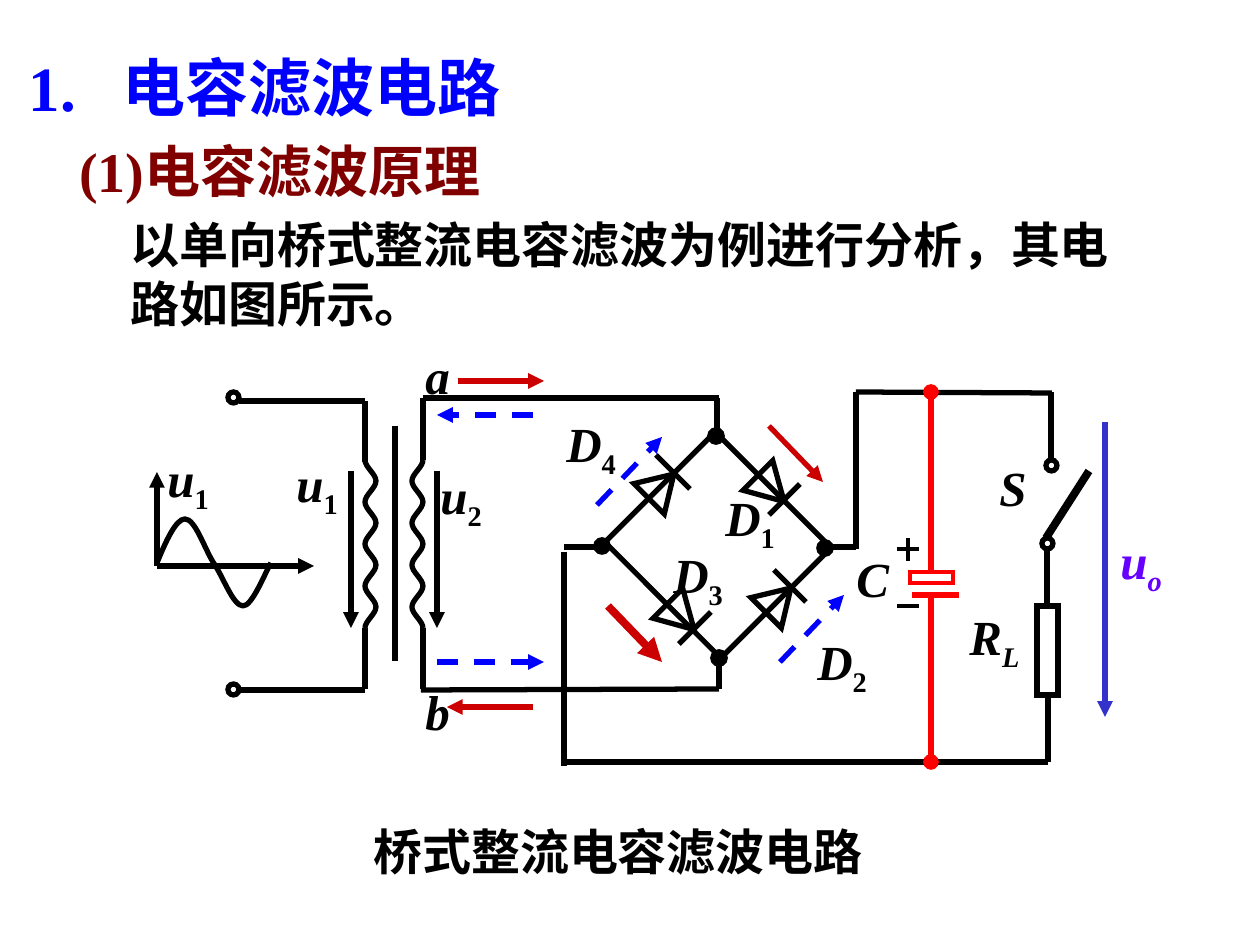
from dataclasses import dataclass

from lxml import etree
from pptx import Presentation
from pptx.dml.color import RGBColor
from pptx.enum.dml import MSO_LINE
from pptx.enum.shapes import MSO_CONNECTOR, MSO_SHAPE
from pptx.enum.text import MSO_ANCHOR, MSO_AUTO_SIZE, PP_ALIGN
from pptx.oxml.ns import qn
from pptx.util import Emu, Pt

STRAIGHT = MSO_CONNECTOR.STRAIGHT
OVAL, RECT, TRIANGLE = MSO_SHAPE.OVAL, MSO_SHAPE.RECTANGLE, MSO_SHAPE.ISOSCELES_TRIANGLE
TOP, MIDDLE = MSO_ANCHOR.TOP, MSO_ANCHOR.MIDDLE
LEFT, CENTER = PP_ALIGN.LEFT, PP_ALIGN.CENTER
DASH, NO_AUTOFIT = MSO_LINE.DASH, MSO_AUTO_SIZE.NONE
PX_PER_INCH = 126


@dataclass(frozen=True)
class Theme:
    font: str = "Times New Roman"
    black: str = "000000"
    blue: str = "0000FF"
    maroon: str = "800000"
    violet: str = "6600FF"
    indigo: str = "3333CC"
    forward: str = "CC0000"
    red: str = "FF0000"
    title: int = 36
    subtitle: int = 32
    body: int = 28
    wire: float = 3
    thin: float = 2.25
    thick: float = 4.5
    dot: float = 1


theme = Theme()


def px(*values):
    return [Emu(round(value * 914400 / PX_PER_INCH)) for value in values]


def outline(shape, colour, width, fill=None):
    """Give a closed or open shape its line, and a fill only when named."""
    shape.shadow.inherit = False
    shape.line.color.rgb = RGBColor.from_string(colour)
    shape.line.width = Pt(width)
    if fill:
        shape.fill.solid()
        shape.fill.fore_color.rgb = RGBColor.from_string(fill)
    else:
        shape.fill.background()


deck = Presentation()
deck.slide_width, deck.slide_height = px(1260, 945)
page = deck.slides.add_slide(deck.slide_layouts[5])
shapes = page.shapes

# Headings, body text and circuit labels: base, subscript, frame, look
texts = [
    ("1.\t电容滤波电路", "", (16, 42, 743, 83), theme.title, theme.blue, True, TOP, LEFT),
    ("以单向桥式整流电容滤波为例进行分析，其电路如图所示。", "", (118, 208, 1034, 131),
     theme.body, theme.black, True, MIDDLE, LEFT),
    ("(1)电容滤波原理", "", (60, 130, 440, 81), theme.subtitle, theme.maroon,
     False, MIDDLE, CENTER),
    ("桥式整流电容滤波电路", "", (361, 815, 514, 72), theme.body, theme.black, False, TOP, LEFT),
]
labels = [
    ("a", "", 413, 339, 49), ("b", "", 413, 675, 49),
    ("S", "", 987, 451, 52), ("C", "", 844, 542, 58),
    ("u", "1", 155, 442, 79), ("u", "1", 284, 447, 79), ("u", "2", 428, 459, 79),
    ("D", "1", 713, 481, 79), ("D", "2", 805, 625, 79),
    ("D", "3", 661, 538, 79), ("D", "4", 554, 407, 79),
    ("R", "L", 957, 600, 145), ("u", "o", 1108, 524, 126),
]
for base, sub, left, top, width in labels:
    colour = theme.violet if sub == "o" else theme.black
    texts.append((base, sub, (left, top, width, 79 if sub else 72),
                  theme.body, colour, bool(sub), TOP, LEFT))

for base, sub, frame, size, colour, wrap, anchor, align in texts:
    if size == theme.title:
        box = shapes.title
        box.left, box.top, box.width, box.height = px(*frame)
    else:
        box = shapes.add_textbox(*px(*frame))
    text_frame = box.text_frame
    text_frame.auto_size = NO_AUTOFIT
    text_frame.word_wrap = wrap
    text_frame.vertical_anchor = anchor
    para = text_frame.paragraphs[0]
    para.alignment = align
    if "\t" in base:
        tabs = etree.SubElement(para._p.get_or_add_pPr(), qn("a:tabLst"))
        etree.SubElement(tabs, qn("a:tab"), pos=str(px(94)[0]), algn="l")
    para.font.name = theme.font
    para.font.size = Pt(size)
    para.font.bold = True
    para.font.color.rgb = RGBColor.from_string(colour)
    span = para.add_run()
    span.text = base
    if len(base) == 1:
        span.font.italic = True
    if sub:
        span = para.add_run()
        span.text = sub
        span.font.italic = sub.isalpha()
        span._r.get_or_add_rPr().set("baseline", "-25000")

# Bridge, resistor and capacitor plate: preset, frame, rotation, line
parts = [
    (RECT, (636, 467, 164, 156), 45, theme.black, theme.wire),
    (TRIANGLE, (640, 469, 43, 35), 45, theme.black, theme.wire),
    (TRIANGLE, (757, 583, 43, 35), 45, theme.black, theme.wire),
    (TRIANGLE, (750, 470, 42, 37), 135, theme.black, theme.wire),
    (TRIANGLE, (660, 598, 42, 37), 135, theme.black, theme.wire),
    (RECT, (1037, 606, 21, 89), 0, theme.black, theme.wire),
    (RECT, (910, 572, 43, 11), 0, theme.red, theme.thin),
]
terminals = [(228, 392), (228, 684), (1042, 538), (1046, 460)]
parts += [(OVAL, (x, y, 11, 11), 0, theme.black, theme.wire) for x, y in terminals]
for preset, frame, rotation, colour, width in parts:
    part = shapes.add_shape(preset, *px(*frame))
    part.rotation = rotation
    outline(part, colour, width)
    etree.SubElement(part.line._get_or_add_ln(), qn("a:miter"), lim="800000")

# Input sine wave and transformer windings: a start, then three points per curve
curves = [[(157, 563), (166, 541), (176, 519), (185, 519),
           (195, 519), (204, 547), (213, 562), (223, 576), (233, 606), (243, 606),
           (252, 607), (266, 571), (271, 563)]]
for inner, outer in ((365, 376), (423, 412)):
    winding = [(inner, 460)]
    for half in range(8):
        near, far = (inner, outer) if half % 2 == 0 else (outer, inner)
        top = 460 + 21 * half
        winding += [(near, top + 7), (far, top + 14), (far, top + 21)]
    curves.append(winding)
for points in curves:
    builder = shapes.build_freeform(*px(*points[0]))
    builder.add_line_segments([px(*point) for point in points[1:]], close=False)
    curve = builder.convert_to_shape()
    outline(curve, theme.black, theme.wire)
    segments = list(curve._element.iter(qn("a:lnTo")))
    for first in range(0, len(segments), 3):
        trio = segments[first:first + 3]
        bezier = etree.Element(qn("a:cubicBezTo"))
        trio[0].addprevious(bezier)
        for segment in trio:
            bezier.append(segment[0])
            segment.getparent().remove(segment)

# Straight lines: ends, colour, width, tail, dash
wires = [
    (239, 401, 365, 401), (239, 690, 365, 690), (395, 426, 395, 661),
    (423, 398, 719, 398), (421, 690, 719, 689), (856, 392, 1052, 393),
    (365, 401, 365, 462), (365, 628, 365, 689), (423, 398, 423, 460),
    (423, 628, 423, 689), (717, 398, 717, 431), (719, 689, 719, 661),
    (656, 455, 690, 489), (774, 570, 806, 602), (800, 484, 769, 515),
    (711, 612, 679, 644), (611, 547, 564, 547), (564, 552, 564, 766),
    (856, 392, 856, 549), (828, 547, 856, 547), (1048, 762, 1048, 696),
    (562, 762, 1048, 762), (1047, 606, 1047, 548), (1051, 392, 1051, 459),
]
signs = [(897, 549, 919, 549), (908, 538, 908, 561), (897, 606, 919, 606)]
voltage_arrows = [(157, 566, 157, 472), (157, 566, 314, 566),
                  (351, 471, 351, 628), (437, 471, 437, 628)]
forward_arrows = [(458, 381, 544, 381), (533, 707, 447, 707), (769, 426, 823, 482)]
reverse_arrows = [(533, 415, 437, 415), (437, 662, 544, 662),
                  (780, 662, 844, 595), (597, 505, 662, 437)]
line_groups = [
    (wires, theme.black, theme.wire, None, None),
    (signs, theme.black, theme.thin, None, None),
    ([(1046, 538, 1089, 471)], theme.black, theme.thick, None, None),
    (voltage_arrows, theme.black, theme.wire, "triangle", None),
    (forward_arrows, theme.forward, theme.wire, "triangle", None),
    ([(608, 606, 662, 662)], theme.forward, theme.thick, "triangle", None),
    (reverse_arrows, theme.blue, theme.wire, "triangle", DASH),
    ([(1105, 422, 1105, 717)], theme.indigo, theme.wire, "triangle", None),
    ([(912, 595, 959, 595)], theme.red, theme.wire, None, None),
    ([(931, 595, 931, 762), (931, 572, 931, 392)], theme.red, theme.wire, "oval", None),
]
for lines, colour, width, tail, dash in line_groups:
    for ends in lines:
        connector = shapes.add_connector(STRAIGHT, *px(*ends))
        connector.line.color.rgb = RGBColor.from_string(colour)
        connector.line.width = Pt(width)
        if dash:
            connector.line.dash_style = dash
        if tail:
            etree.SubElement(connector.line._get_or_add_ln(), qn("a:tailEnd"), type=tail)
        etree.SubElement(connector._element.spPr, qn("a:effectLst"))

# Bridge junctions
for x, y in [(719, 658), (825, 548), (602, 546), (716, 436)]:
    junction = shapes.add_shape(OVAL, *px(x - 8, y - 8, 16, 16))
    outline(junction, theme.black, theme.dot, theme.black)

deck.save("out.pptx")
